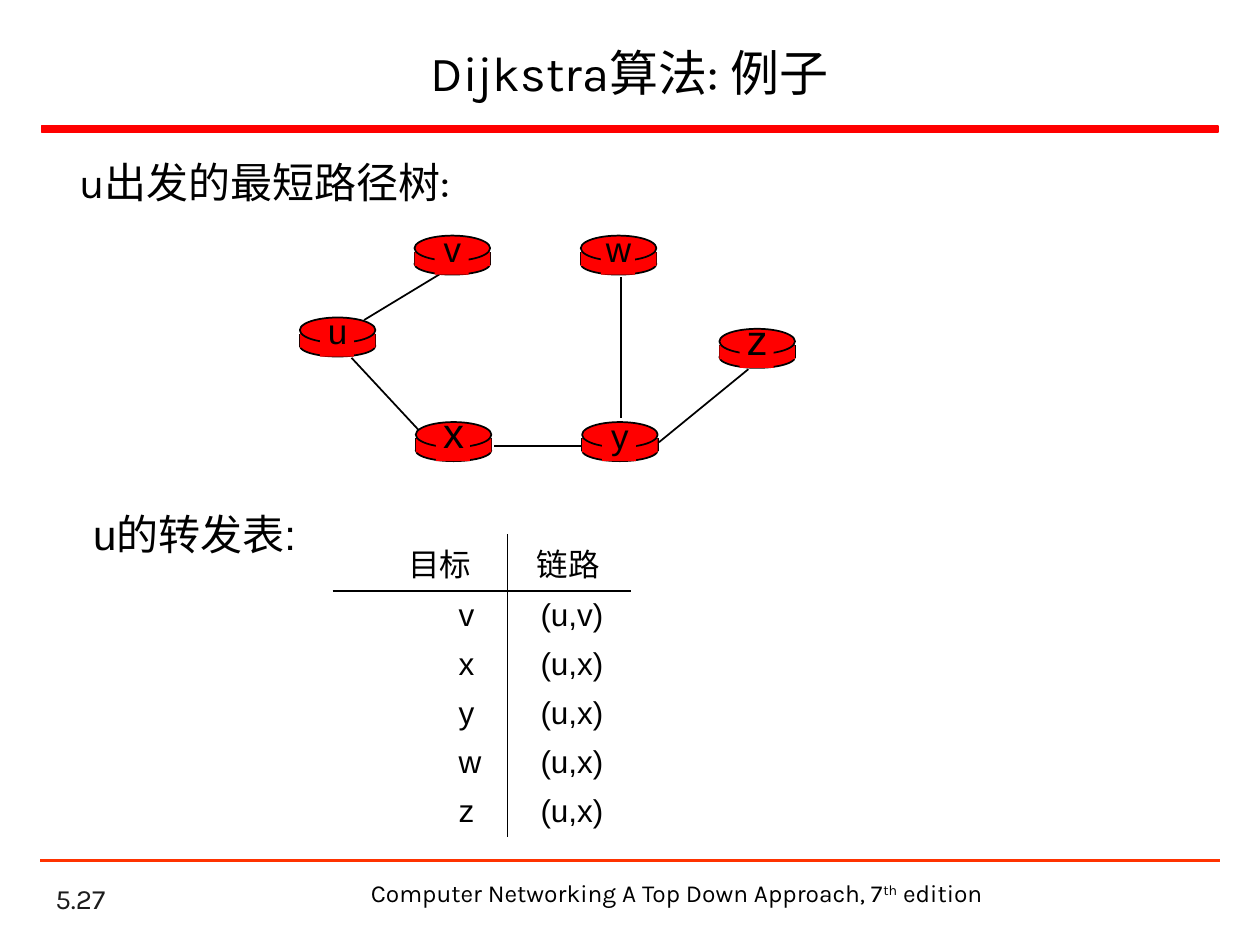
from lxml.etree import SubElement
from pptx import Presentation
from pptx.dml.color import RGBColor
from pptx.enum.shapes import MSO_CONNECTOR, MSO_SHAPE
from pptx.enum.text import MSO_ANCHOR, PP_ALIGN
from pptx.oxml.ns import qn
from pptx.util import Inches, Pt

RED, BLACK = "FF0000", "000000"
ROUTERS = {
    "u": (2.38, 2.52, 20), "x": (3.3, 3.35, 24), "v": (3.29, 1.87, 20),
    "w": (4.61, 1.87, 20), "y": (4.62, 3.35, 20), "z": (5.71, 2.61, 24),
}
LINKS = [
    (2.89, 2.54, 3.55, 2.14), (4.93, 2.2, 4.93, 3.32), (5.23, 3.51, 5.94, 2.93),
    (4.63, 3.54, 3.92, 3.54), (3.32, 3.41, 2.79, 2.84),
]
ROUTES = [
    ("目标", "链路"), ("v", "(u,v)"), ("x", "(u,x)"),
    ("y", "(u,x)"), ("w", "(u,x)"), ("z", "(u,x)"),
]


def color(code):
    return RGBColor.from_string(code)


def apply(item, values):
    for name, value in values.items():
        setattr(item, name, value)


def write(par, text, size, face="Karla", code=BLACK):
    run = par.add_run()
    run.text = text
    apply(run.font, {"size": Pt(size), "name": face})
    run.font.color.rgb = color(code)
    return run


def add_text(shapes, box, text, size, face="Karla", code=BLACK, wrap=True,
             anchor=MSO_ANCHOR.TOP, align=PP_ALIGN.LEFT, spacing=None):
    frame = shapes.add_textbox(*map(Inches, box)).text_frame
    apply(frame, {"word_wrap": wrap, "vertical_anchor": anchor})
    par = frame.paragraphs[0]
    apply(par, {"alignment": align, "line_spacing": spacing})
    write(par, text, size, face, code)
    return par


def add_solid(shapes, kind, box, edge=None):
    shape = shapes.add_shape(kind, *map(Inches, box))
    shape.shadow.inherit = False
    shape.fill.solid()
    shape.fill.fore_color.rgb = color(RED)
    if edge:
        shape.line.color.rgb = color(edge)
        shape.line.width = Pt(1)
    else:
        shape.line.fill.background()


def add_line(shapes, ends, code=BLACK, width=1):
    line = shapes.add_connector(MSO_CONNECTOR.STRAIGHT, *map(Inches, ends))
    line.line.color.rgb = color(code)
    line.line.width = Pt(width)
    SubElement(line._element.spPr, qn("a:effectLst"))


def add_router(shapes, name, left, top, size):
    add_solid(shapes, MSO_SHAPE.OVAL, (left, top + 0.14, 0.6, 0.17), BLACK)
    for side in (left, left + 0.6):
        add_line(shapes, (side, top + 0.13, side, top + 0.23))
    add_solid(shapes, MSO_SHAPE.RECTANGLE, (left, top + 0.13, 0.6, 0.11))
    add_solid(shapes, MSO_SHAPE.OVAL, (left, top, 0.6, 0.2), BLACK)
    add_solid(shapes, MSO_SHAPE.RECTANGLE, (left + 0.16, top + 0.03, 0.27, 0.28))
    lift = 0.11 if size == 20 else 0.17
    add_text(shapes, (left + 0.1, top - lift, 0.4, 0.44), name, size, "Arial",
             wrap=False, align=PP_ALIGN.CENTER)


def add_network(shapes):
    group = shapes.add_group_shape().shapes
    for ends in LINKS:
        add_line(group, ends)
    for name, place in ROUTERS.items():
        add_router(group, name, *place)


def set_border(cell, side, shown):
    props = cell._tc.get_or_add_tcPr()
    line = SubElement(props, qn("a:ln" + side), w=str(Pt(0.75)))
    if shown:
        fill = SubElement(line, qn("a:solidFill"))
        SubElement(fill, qn("a:srgbClr"), val=BLACK)
    else:
        SubElement(line, qn("a:noFill"))


def add_routes(shapes):
    box = map(Inches, (2.64, 4.24, 2.37, 2.4))
    table = shapes.add_table(len(ROUTES), 2, *box).table
    apply(table, {"first_row": False, "horz_banding": False})
    for col, width in zip(table.columns, (1.39, 0.98)):
        col.width = Inches(width)
    for i, row in enumerate(ROUTES):
        table.rows[i].height = Inches(0.39 if i else 0.45)
        indents = (1.0, 0.26) if i else (0.6, 0.23)
        for j, text in enumerate(row):
            cell = table.cell(i, j)
            edges = {"L": j == 1, "R": j == 0, "T": i == 1, "B": i == 0}
            for side, shown in edges.items():
                set_border(cell, side, shown)
            cell.fill.background()
            apply(cell, {
                "margin_left": Inches(indents[j]), "margin_right": 0,
                "margin_top": 0, "margin_bottom": 0,
                "vertical_anchor": MSO_ANCHOR.MIDDLE,
            })
            write(cell.text_frame.paragraphs[0], text, 18, "Arial")


def add_footer(shapes):
    add_line(shapes, (0.32, 6.83, 9.68, 6.83), "FF3300", 1.5)
    add_text(shapes, (0.34, 6.98, 2.08, 0.33), "5.27", 16, code="1C1C1C",
             anchor=MSO_ANCHOR.BOTTOM)
    par = add_text(shapes, (2.83, 6.92, 5.08, 0.34),
                   "Computer Networking A Top Down Approach, 7", 14,
                   align=PP_ALIGN.CENTER)
    mark = write(par, "th", 14)
    mark._r.get_or_add_rPr().set("baseline", "30000")
    write(par, " edition", 14)


def main():
    deck = Presentation()
    apply(deck, {"slide_width": Inches(10), "slide_height": Inches(7.5)})
    shapes = deck.slides.add_slide(deck.slide_layouts[6]).shapes
    add_solid(shapes, MSO_SHAPE.RECTANGLE, (0.33, 1, 9.34, 0.05), RED)
    add_footer(shapes)
    add_text(shapes, (0.37, 0.25, 9.25, 0.7), "Dijkstra算法: 例子", 28,
             anchor=MSO_ANCHOR.MIDDLE, align=PP_ALIGN.CENTER, spacing=0.9)
    add_network(shapes)
    add_text(shapes, (0.53, 1.19, 3.23, 0.51), "u出发的最短路径树:", 24)
    add_routes(shapes)
    add_text(shapes, (0.64, 3.99, 1.89, 0.51), "u的转发表:", 24, "Arial")
    deck.save("out.pptx")


if __name__ == "__main__":
    main()
